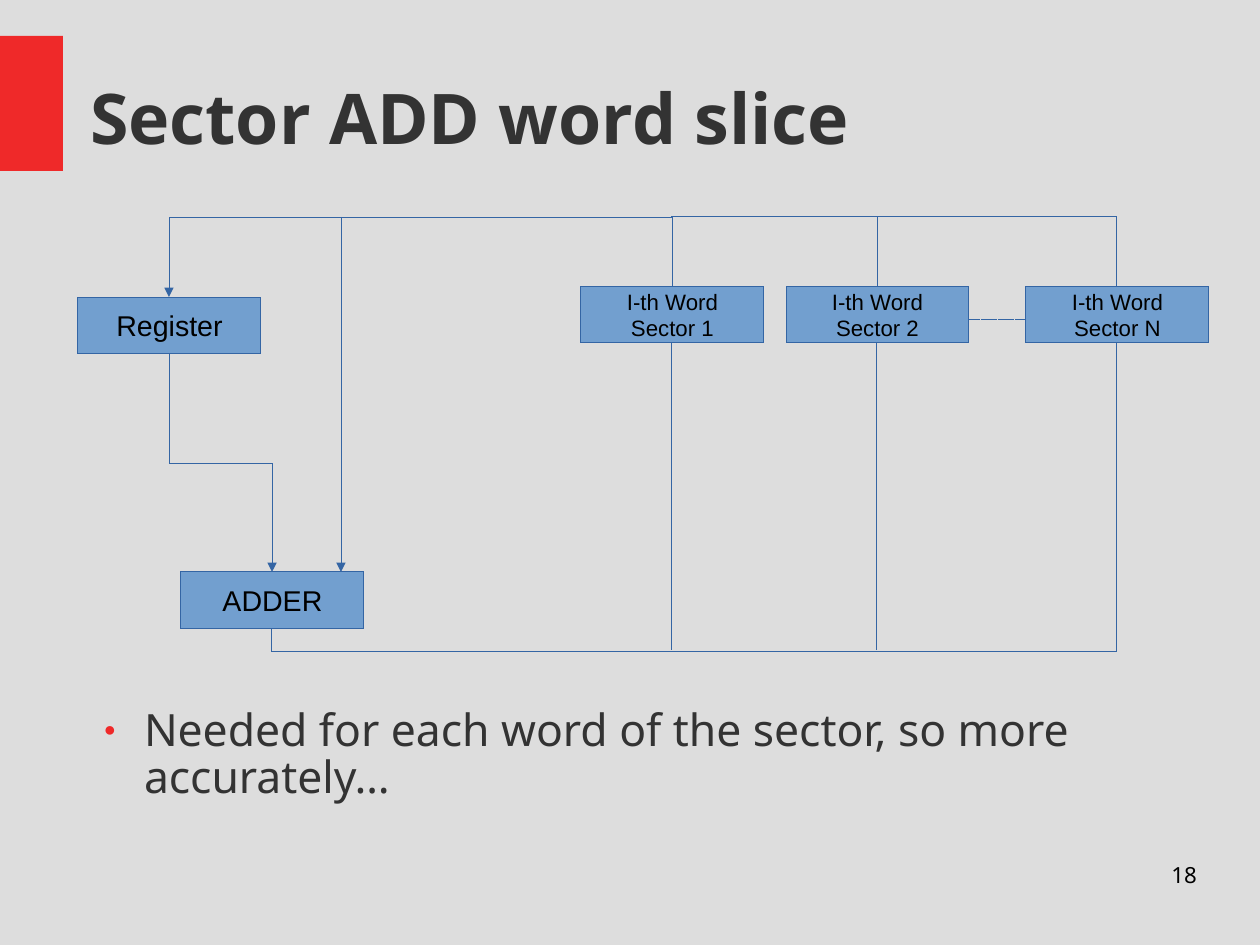
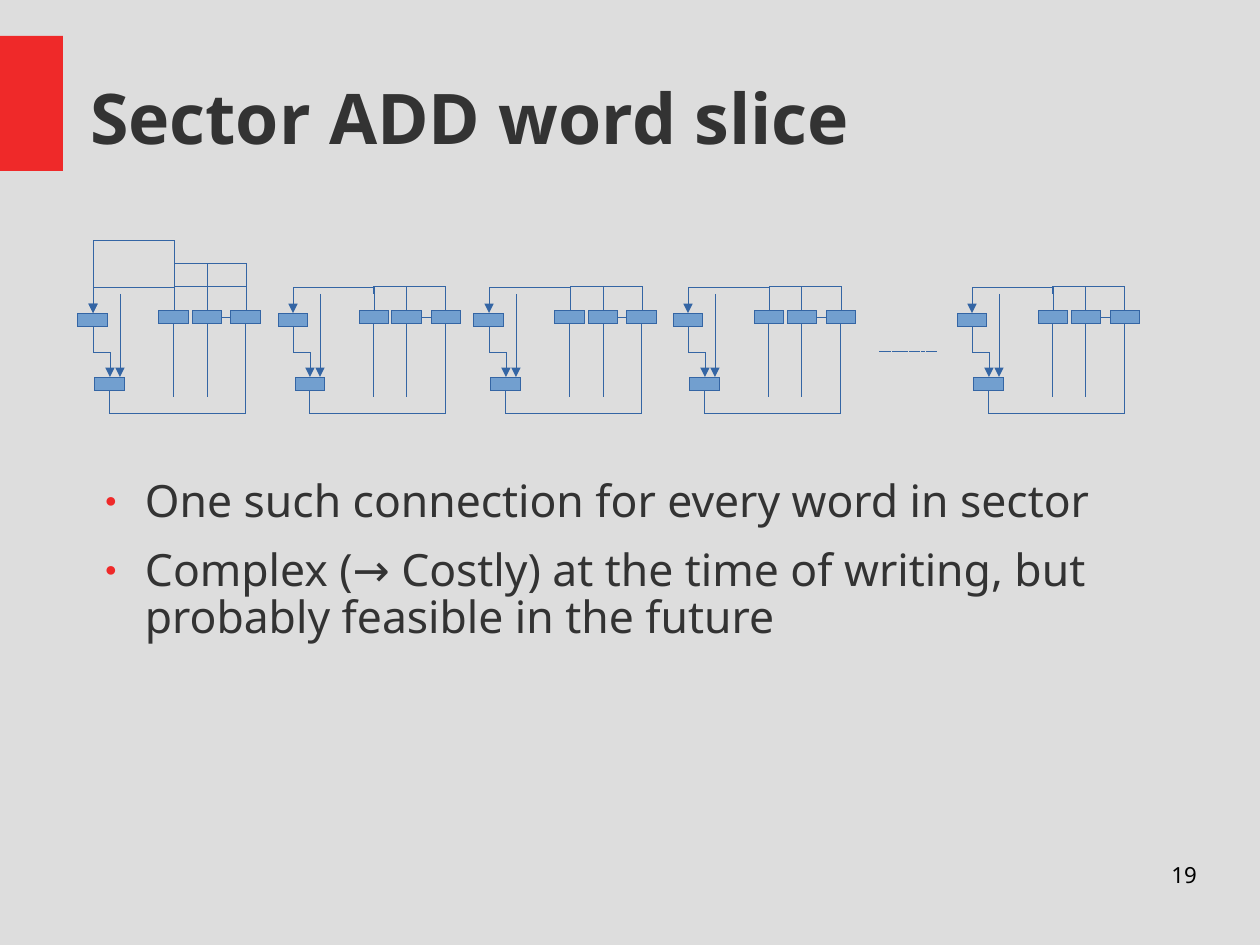
from lxml import etree
from pptx import Presentation
from pptx.dml.color import RGBColor
from pptx.enum.dml import MSO_LINE
from pptx.enum.shapes import MSO_CONNECTOR, MSO_SHAPE
from pptx.enum.text import MSO_ANCHOR, MSO_AUTO_SIZE, PP_ALIGN
from pptx.oxml.ns import qn
from pptx.util import Pt

PX = 8000  # EMU per px
HAIRLINE = 1  # EMU
RECT = MSO_SHAPE.RECTANGLE
STRAIGHT, ELBOW = MSO_CONNECTOR.STRAIGHT, MSO_CONNECTOR.ELBOW
DOTTED = MSO_LINE.ROUND_DOT
TOP, MIDDLE = MSO_ANCHOR.TOP, MSO_ANCHOR.MIDDLE
LEFT, CENTER, RIGHT = PP_ALIGN.LEFT, PP_ALIGN.CENTER, PP_ALIGN.RIGHT
NO_AUTOFIT = MSO_AUTO_SIZE.NONE

COLORS = {
    name: RGBColor.from_string(value)
    for name, value in {
        "background": "DDDDDD",
        "accent": "EF2929",
        "text": "333333",
        "black": "000000",
        "box": "729FCF",
        "wire": "3465A4",
    }.items()
}
HEADING = "Sector ADD word slice"

# Geometry of one slice; every x counts from the left of its register
LARGE = {
    "box": (183, 57), "register_y": 297, "adder": (103, 572),
    "words_x": (503, 708, 948), "words_y": 286, "link_y": 320,
    "bus_y": 217, "bus_end_y": 217, "legs_end_y": 650, "return_y": 652,
    "bypass_x": 263, "bypass_y": 217,
}
SMALL = {
    "box": (30, 14), "register_y": 313, "adder": (17, 377),
    "words_x": (81, 114, 153), "words_y": 310, "link_y": 318,
    "bus_y": 287, "bus_end_y": 294, "legs_end_y": 397, "return_y": 414,
    "bypass_x": 42, "bypass_y": 294,
}
PAGES = [
    {
        "number": "18",
        "bullets": ["Needed for each word of the sector, so more accurately…"],
        "bullets_at": (90, 709),
        "geometry": LARGE,
        "lefts": [78],
        "labels": ["Register", "ADDER"]
        + [f"I-th Word\nSector {n}" for n in ("1", "2", "N")],
    },
    {
        "number": "19",
        "bullets": [
            "One such connection for every word in sector",
            "Complex (→ Costly) at the time of writing, but probably feasible in the future",
        ],
        "bullets_at": (91, 480),
        "geometry": SMALL,
        "lefts": [78, 278, 474, 673, 957],
        "labels": [""] * 5,
    },
]


def style_text(frame, size, font, color, align, anchor, inset=0, bold=False):
    frame.auto_size = NO_AUTOFIT
    frame.vertical_anchor = anchor
    frame.margin_left = frame.margin_right = inset * PX
    frame.margin_top = frame.margin_bottom = inset * PX
    for paragraph in frame.paragraphs:
        paragraph.alignment = align
        for run in paragraph.runs:
            run.font.size = Pt(size)
            run.font.name = font
            run.font.bold = bold
            run.font.color.rgb = COLORS[color]


def wire(slide, start, end, via_y=None, arrow=False, dotted=False):
    """Straight wire, or a down-across-down one whose crossbar lies at via_y."""
    (x1, y1), (x2, y2) = start, end
    dx, dy = x2 - x1, y2 - y1
    if via_y is None:
        line = slide.shapes.add_connector(STRAIGHT, x1 * PX, y1 * PX, x2 * PX, y2 * PX)
    else:
        # The elbow runs sideways by nature, so its box is turned a quarter
        half_w, half_h = abs(dy) * PX // 2, abs(dx) * PX // 2
        mid_x, mid_y = (x1 + x2) * PX // 2, (y1 + y2) * PX // 2
        line = slide.shapes.add_connector(
            ELBOW, mid_x - half_w, mid_y - half_h, mid_x + half_w, mid_y + half_h)
        xfrm = line._element.spPr.find(qn("a:xfrm"))
        xfrm.set("rot", str((90 if dx * dy < 0 else 270) * 60000))
        xfrm.set("flipH", str(int(dx > 0)))
        xfrm.set("flipV", str(int(dy < 0)))
        guides = line._element.spPr.find(qn("a:prstGeom")).find(qn("a:avLst"))
        bend = round((via_y - y1) / dy * 100000)
        etree.SubElement(guides, qn("a:gd"), name="adj1", fmla=f"val {bend}")
    line.line.color.rgb = COLORS["wire"]
    line.line.width = HAIRLINE
    if dotted:
        line.line.dash_style = DOTTED
    properties = line._element.spPr
    if arrow:
        etree.SubElement(properties.find(qn("a:ln")), qn("a:tailEnd"), type="triangle")
    etree.SubElement(properties, qn("a:effectLst"))


prs = Presentation()
prs.slide_width, prs.slide_height = 1260 * PX, 945 * PX

# Shared background
master_fill = prs.slide_master.background.fill
master_fill.solid()
master_fill.fore_color.rgb = COLORS["background"]
layout = prs.slide_layouts[1]

for index, page in enumerate(PAGES):
    slide = prs.slides.add_slide(layout)

    # Red band, made once and kept in the layout
    if index == 0:
        band = slide.shapes.add_shape(RECT, 0, 36 * PX, 63 * PX, 135 * PX)
        band.shadow.inherit = False
        band.fill.solid()
        band.fill.fore_color.rgb = COLORS["accent"]
        band.line.fill.background()
        layout.shapes._spTree.append(band._element)

    # Title
    title = slide.shapes.title
    title.left, title.top, title.width, title.height = 90 * PX, 38 * PX, 1106 * PX, 158 * PX
    title.text_frame.text = HEADING
    style_text(title.text_frame, 44, "Noto Sans", "text", LEFT, MIDDLE, bold=True)

    # Bullets
    body = slide.placeholders[1]
    left, top = page["bullets_at"]
    body.left, body.top, body.width, body.height = left * PX, top * PX, 1080 * PX, 110 * PX
    body.text_frame.text = "\n".join(page["bullets"])
    style_text(body.text_frame, 28, "Noto Sans", "text", LEFT, TOP)
    for paragraph in body.text_frame.paragraphs:
        paragraph.line_spacing = 0.88
        paragraph.space_before = Pt(0)
        paragraph.space_after = Pt(14)
        bullet = paragraph._p.get_or_add_pPr()
        bullet.set("marL", str(54 * PX))
        bullet.set("indent", str(-40 * PX))
        bullet_color = etree.SubElement(bullet, qn("a:buClr"))
        etree.SubElement(bullet_color, qn("a:srgbClr"), val=str(COLORS["accent"]))
        etree.SubElement(bullet, qn("a:buSzPct"), val="45000")
        etree.SubElement(bullet, qn("a:buChar"), char="●")

    # Slices: boxes first, then their wires
    g = page["geometry"]
    box_w, box_h = g["box"]
    for left in page["lefts"]:
        register = (left, g["register_y"])
        adder = (left + g["adder"][0], g["adder"][1])
        words = [(left + x, g["words_y"]) for x in g["words_x"]]
        for (x, y), label in zip([register, adder] + words, page["labels"]):
            box = slide.shapes.add_shape(RECT, x * PX, y * PX, box_w * PX, box_h * PX)
            box.shadow.inherit = False
            box.fill.solid()
            box.fill.fore_color.rgb = COLORS["box"]
            box.line.color.rgb = COLORS["wire"]
            box.line.width = HAIRLINE
            if label:
                box.text_frame.text = label
                box.text_frame.word_wrap = False
                size = 14 if "\n" in label else 18
                style_text(box.text_frame, size, "Arial", "black", CENTER, MIDDLE, inset=6)

        register_x, adder_x = register[0] + box_w // 2, adder[0] + box_w // 2
        word_xs = [x + box_w // 2 for x, _ in words]
        word_top, word_bottom = g["words_y"], g["words_y"] + box_h
        register_top = (register_x, g["register_y"])
        bypass_x = left + g["bypass_x"]

        wire(slide, (register_x, g["register_y"] + box_h), (adder_x, adder[1]),
             (g["register_y"] + box_h + adder[1]) // 2, arrow=True)
        # The first slice of the row of small ones has extra, taller buses
        buses = [(g["bus_y"], g["bus_y"])]
        if g is SMALL and left == page["lefts"][0]:
            buses.append((240, 264))
        for register_bus_y, word_bus_y in buses:
            wire(slide, (word_xs[0], word_top), register_top, register_bus_y, arrow=True)
            for near_x, far_x in zip(word_xs, word_xs[1:]):
                wire(slide, (far_x, word_top), (near_x, g["bus_end_y"]), word_bus_y)
        wire(slide, (adder_x, adder[1] + box_h), (word_xs[-1], word_bottom), g["return_y"])
        for x in word_xs[:-1]:
            wire(slide, (x, word_bottom), (x, g["legs_end_y"]))
        wire(slide, (bypass_x, g["bypass_y"]), (bypass_x, adder[1]), arrow=True)
        wire(slide, (words[1][0] + box_w, g["link_y"]), (words[2][0], g["link_y"]), dotted=True)

    # Dots before the last slice
    if len(page["lefts"]) > 1:
        wire(slide, (880, 351), (938, 351), dotted=True)

    # Page number
    page_number = slide.shapes.add_textbox(903 * PX, 861 * PX, 294 * PX, 65 * PX)
    page_number.text_frame.word_wrap = True
    page_number.text_frame.text = page["number"]
    style_text(page_number.text_frame, 14, "Noto Sans", "black", RIGHT, TOP)

prs.save("out.pptx")
